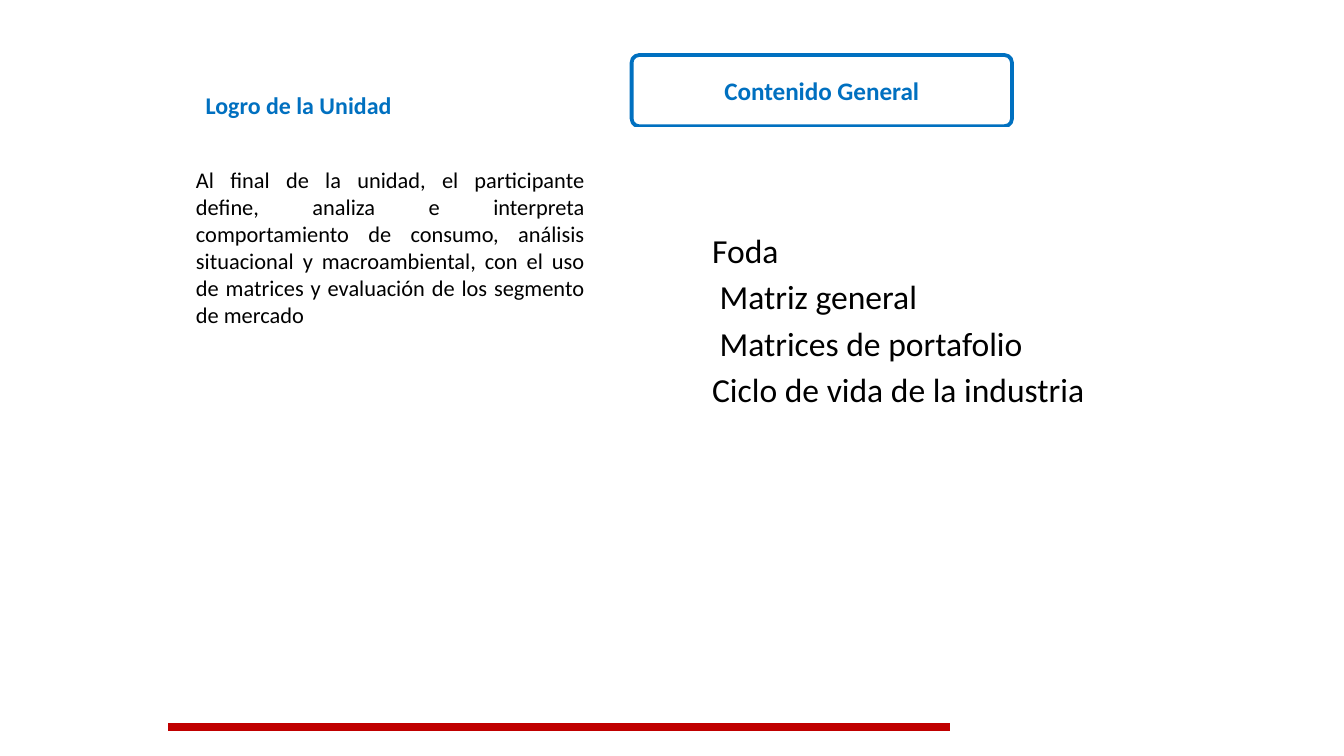
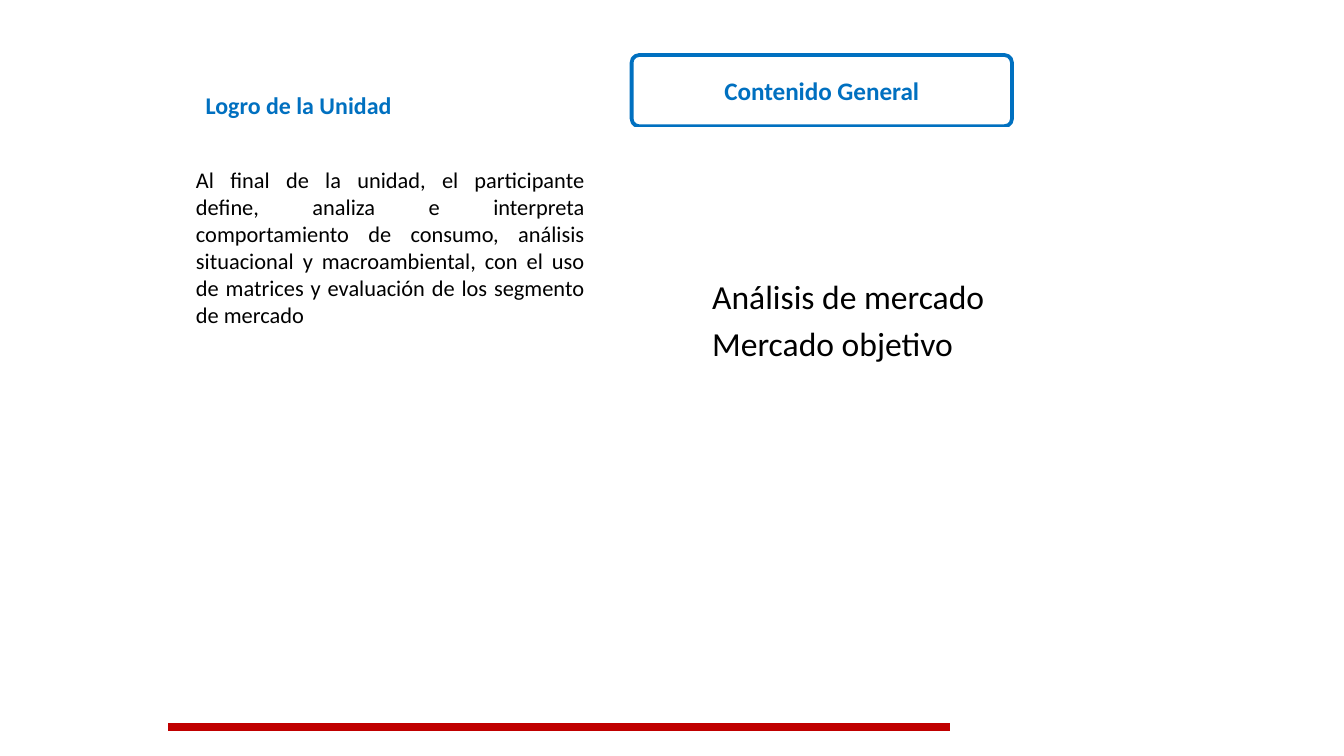
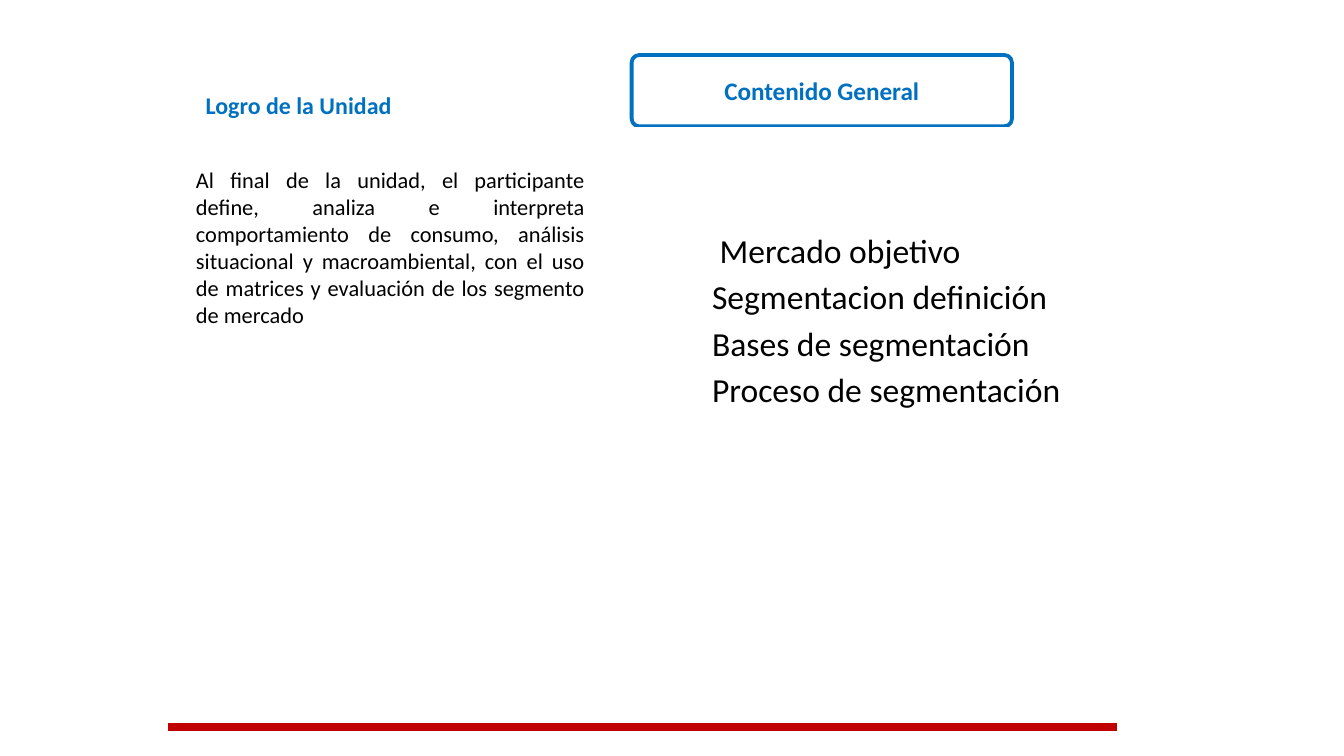
from dataclasses import dataclass

from pptx import Presentation
from pptx.dml.color import RGBColor
from pptx.enum.shapes import MSO_CONNECTOR, MSO_SHAPE
from pptx.enum.text import MSO_ANCHOR, PP_ALIGN
from pptx.oxml.ns import qn
from pptx.util import Inches, Pt
from lxml import etree


@dataclass(frozen=True)
class Theme:
    font: str = "Calibri"
    blue: RGBColor = RGBColor(0x00, 0x70, 0xC0)
    red: RGBColor = RGBColor(0xC0, 0x00, 0x00)
    black: RGBColor = RGBColor(0x00, 0x00, 0x00)
    white: RGBColor = RGBColor(0xFF, 0xFF, 0xFF)
    goal_title_size: float = 12.8
    content_title_size: float = 13.5
    goal_size: float = 12
    topic_size: float = 18
    outline: float = 2
    footer_line: float = 4.5


THEME = Theme()

GOAL_TITLE = "Logro de la Unidad"
GOAL = (
    "Al final de la unidad, el participante define, analiza e interpreta "
    "comportamiento de consumo, análisis situacional y macroambiental, con el "
    "uso de matrices y evaluación de los segmento de mercado"
)
CONTENT_TITLE = "Contenido General"

# Topics of each unit, and where its footer line ends
UNITS = [
    (["Foda", " Matriz general", " Matrices de portafolio",
      "Ciclo de vida de la industria"], 7.07),
    (["Análisis de mercado", "Mercado objetivo"], 7.07),
    ([" Mercado objetivo\nSegmentacion definición\n"
      "Bases de segmentación\nProceso de segmentación"], 8.31),
]


def add_panel(slide, kind, box, fill=None, line=None):
    panel = slide.shapes.add_shape(kind, *map(Inches, box))
    panel.shadow.inherit = False
    if fill is None:
        panel.fill.background()
    else:
        panel.fill.solid()
        panel.fill.fore_color.rgb = fill
    if line is None:
        panel.line.fill.background()
    else:
        panel.line.color.rgb = line
        panel.line.width = Pt(THEME.outline)
    return panel


def write(shape, texts, size, color, anchor, align=PP_ALIGN.LEFT, bold=False):
    """Write one paragraph per text, breaking lines at newlines; return them."""
    frame = shape.text_frame
    frame.word_wrap = True
    frame.vertical_anchor = anchor
    for index, text in enumerate(texts):
        paragraph = frame.add_paragraph() if index else frame.paragraphs[0]
        paragraph.alignment = align
        for row, line in enumerate(text.split("\n")):
            if row:
                paragraph.add_line_break()
            run = paragraph.add_run()
            run.text = line
            run.font.name = THEME.font
            run.font.size = Pt(size)
            run.font.bold = bold
            run.font.color.rgb = color
    return frame.paragraphs


def indent(paragraph, left):
    properties = paragraph._p.get_or_add_pPr()
    properties.set("marL", str(Inches(left)))
    properties.set("indent", "0")


def add_content_title(slide, box):
    title = add_panel(slide, MSO_SHAPE.ROUNDED_RECTANGLE, box, line=THEME.blue)
    title.adjustments[0] = 0.105
    write(title, [CONTENT_TITLE], THEME.content_title_size, THEME.blue,
          MSO_ANCHOR.MIDDLE, PP_ALIGN.CENTER, bold=True)


def add_goal(slide, box):
    goal = add_panel(slide, MSO_SHAPE.RECTANGLE, box, fill=THEME.white)
    write(goal, [GOAL], THEME.goal_size, THEME.black,
          MSO_ANCHOR.TOP, PP_ALIGN.JUSTIFY)


def add_goal_title(slide, box):
    title = slide.shapes.add_textbox(*map(Inches, box))
    frame = title.text_frame
    frame.margin_left = frame.margin_right = Inches(0.09)
    frame.margin_top = frame.margin_bottom = Inches(0.06)
    [heading] = write(title, [GOAL_TITLE], THEME.goal_title_size, THEME.blue,
                      MSO_ANCHOR.BOTTOM, bold=True)
    indent(heading, 0.08)


def add_topics(slide, box, topics):
    panel = add_panel(slide, MSO_SHAPE.RECTANGLE, box,
                      fill=THEME.white, line=THEME.white)
    for topic in write(panel, topics, THEME.topic_size, THEME.black,
                       MSO_ANCHOR.MIDDLE):
        topic.level = 1
        topic.line_spacing = 1.15
        indent(topic, 0.5)


def add_footer_line(slide, left, right, y):
    footer = slide.shapes.add_connector(
        MSO_CONNECTOR.STRAIGHT, *map(Inches, (left, y, right, y)))
    footer.line.color.rgb = THEME.red
    footer.line.width = Pt(THEME.footer_line)
    etree.SubElement(footer._element.spPr, qn("a:effectLst"))


def add_unit_slide(deck, topics, footer_end):
    slide = deck.slides.add_slide(deck.slide_layouts[6])
    goal_left, content_left = 1.36, 4.7
    add_content_title(slide, (content_left, 0.41, 2.83, 0.53))
    add_goal(slide, (goal_left, 1.19, 3.09, 1.99))
    add_goal_title(slide, (goal_left, 0.13, 2.52, 0.82))
    add_topics(slide, (content_left, 0.96, 3.48, 2.79), topics)
    add_footer_line(slide, 1.25, footer_end, 5.41)


def main():
    deck = Presentation()
    deck.slide_width = Inches(10)
    deck.slide_height = deck.slide_width * 9 // 16
    for topics, footer_end in UNITS:
        add_unit_slide(deck, topics, footer_end)
    deck.save("out.pptx")


if __name__ == "__main__":
    main()
